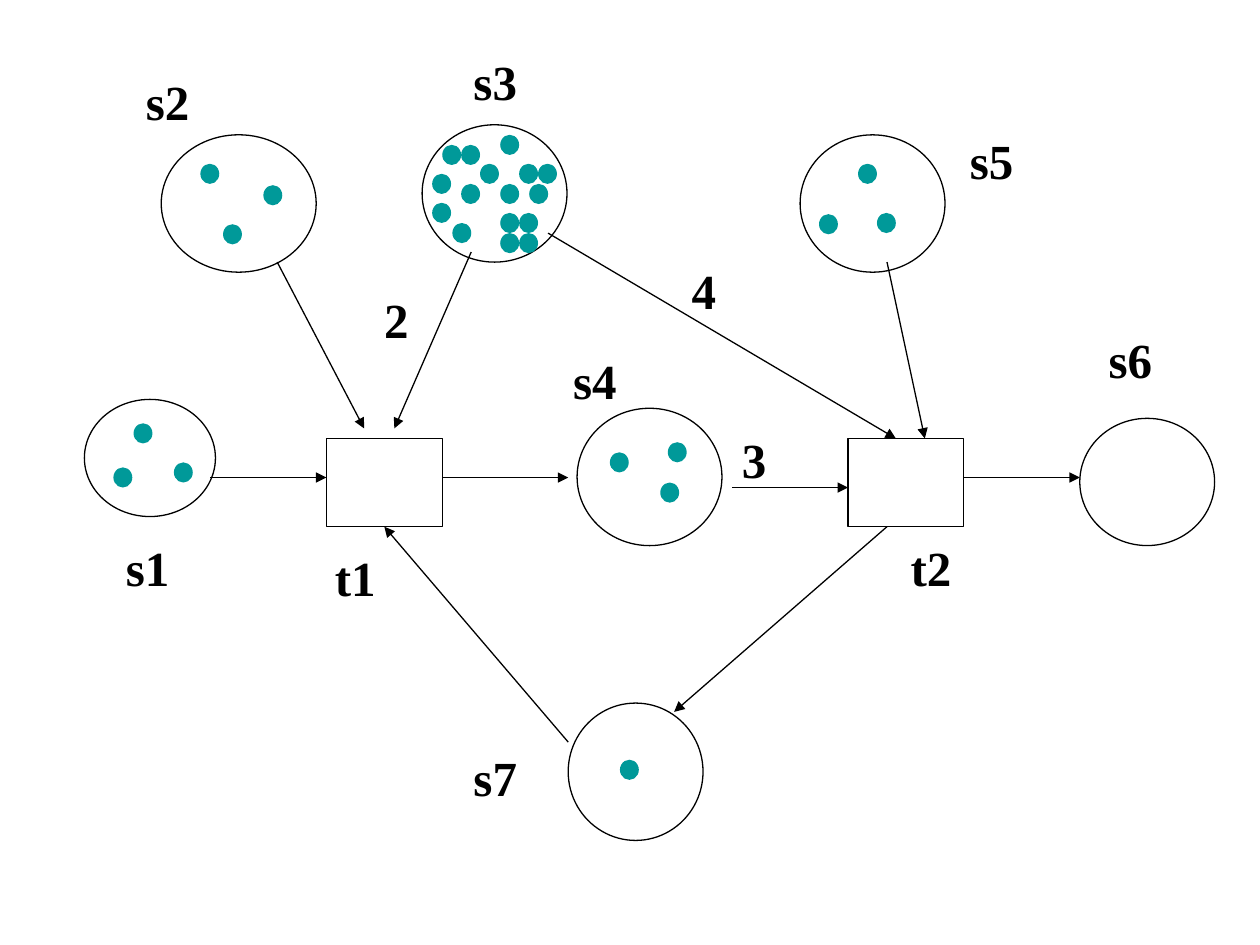
from typing import NamedTuple, Optional

from lxml.etree import SubElement
from pptx import Presentation
from pptx.dml.color import RGBColor
from pptx.enum.shapes import MSO_CONNECTOR, MSO_SHAPE
from pptx.oxml.ns import qn
from pptx.util import Inches, Pt

BLACK = RGBColor(0x00, 0x00, 0x00)
WHITE = RGBColor(0xFF, 0xFF, 0xFF)
TEAL = RGBColor(0x00, 0x99, 0x99)
LINE_WIDTH = Pt(0.75)
TOKEN_WIDTH, TOKEN_HEIGHT = 0.15, 0.16
LABEL_WIDTH, LABEL_HEIGHT = 0.63, 0.67
BOTTOM_SITE = 2


class Place(NamedTuple):
    left: float
    top: float
    width: float
    height: float
    tokens: tuple = ()


class Transition(NamedTuple):
    left: float
    top: float
    width: float = 0.92
    height: float = 0.7


class Arc(NamedTuple):
    start: tuple
    end: tuple
    bottom_of: Optional[str] = None


class Label(NamedTuple):
    text: str
    left: float
    top: float


PLACES = [
    Place(0.67, 3.17, 1.04, 0.93, ((1.06, 3.36), (0.9, 3.71), (1.38, 3.67))),
    Place(1.28, 1.07, 1.23, 1.09, ((1.59, 1.3), (1.77, 1.78), (2.09, 1.47))),
    Place(3.35, 0.99, 1.15, 1.09, (
        (3.97, 1.07), (3.51, 1.15), (3.66, 1.15), (3.81, 1.3),
        (4.12, 1.3), (4.27, 1.3), (3.43, 1.38), (3.66, 1.46),
        (3.97, 1.46), (4.2, 1.46), (3.43, 1.61), (3.59, 1.77),
        (3.97, 1.69), (4.12, 1.69), (3.97, 1.85), (4.12, 1.85))),
    Place(4.58, 3.24, 1.15, 1.09, ((4.84, 3.59), (5.3, 3.51), (5.24, 3.83))),
    Place(6.35, 1.07, 1.15, 1.09, ((6.81, 1.3), (6.96, 1.69), (6.5, 1.7))),
    Place(8.57, 3.32, 1.07, 1.01),
    Place(4.51, 5.58, 1.07, 1.09, ((4.92, 6.03),)),
]
TRANSITIONS = {"t1": Transition(2.59, 3.48), "t2": Transition(6.73, 3.48)}
ARCS = [
    Arc((1.67, 3.79), (2.59, 3.79)),
    Arc((2.2, 2.08), (2.89, 3.4)),
    Arc((3.74, 2), (3.13, 3.4)),
    Arc((3.51, 3.79), (4.51, 3.79)),
    Arc((4.35, 1.85), (7.11, 3.48)),
    Arc((5.81, 3.87), (6.73, 3.87)),
    Arc((7.04, 2.08), (7.34, 3.48)),
    Arc((7.65, 3.79), (8.57, 3.79)),
    Arc((7.04, 4.18), (5.35, 5.65)),
    Arc((4.51, 5.89), (3.05, 4.18), "t1"),
]
LABELS = [
    Label("s1", 0.9, 4.22),
    Label("s2", 1.06, 0.52),
    Label("s3", 3.66, 0.36),
    Label("s4", 4.45, 2.73),
    Label("s5", 7.6, 0.99),
    Label("s6", 8.7, 2.57),
    Label("s7", 3.66, 5.88),
    Label("t1", 2.56, 4.3),
    Label("t2", 7.13, 4.22),
    Label("2", 2.95, 2.25),
    Label("4", 5.39, 2.02),
    Label("3", 5.79, 3.36),
]


def add_node(slide, kind, left: float, top: float, width: float, height: float,
             fill: Optional[RGBColor] = None, outlined: bool = True):
    shape = slide.shapes.add_shape(
        kind, Inches(left), Inches(top), Inches(width), Inches(height))
    shape.shadow.inherit = False
    if fill is None:
        shape.fill.background()
    else:
        shape.fill.solid()
        shape.fill.fore_color.rgb = fill
    if outlined:
        shape.line.color.rgb = BLACK
        shape.line.width = LINE_WIDTH
    else:
        shape.line.fill.background()
    return shape


def add_place(slide, place: Place) -> None:
    add_node(slide, MSO_SHAPE.OVAL, *place[:4])
    for left, top in place.tokens:
        add_node(slide, MSO_SHAPE.OVAL, left, top, TOKEN_WIDTH, TOKEN_HEIGHT,
                 TEAL, outlined=False)


def add_arc(slide, arc: Arc, transitions: dict) -> None:
    connector = slide.shapes.add_connector(
        MSO_CONNECTOR.STRAIGHT, *map(Inches, arc.start + arc.end))
    if arc.bottom_of:
        connector.end_connect(transitions[arc.bottom_of], BOTTOM_SITE)
    connector.line.color.rgb = BLACK
    connector.line.width = LINE_WIDTH
    properties = connector._element.spPr
    SubElement(properties.find(qn("a:ln")), qn("a:tailEnd"), type="triangle")
    SubElement(properties, qn("a:effectLst"))


def add_label(slide, label: Label) -> None:
    text_box = slide.shapes.add_textbox(
        Inches(label.left), Inches(label.top),
        Inches(LABEL_WIDTH), Inches(LABEL_HEIGHT))
    text_frame = text_box.text_frame
    text_frame.word_wrap = True
    text_frame.text = label.text
    paragraph = text_frame.paragraphs[0]
    paragraph.space_before = Pt(7)
    font = paragraph.runs[0].font
    font.name = "Times New Roman"
    font.size = Pt(28)
    font.bold = True
    font.color.rgb = BLACK


def main() -> None:
    presentation = Presentation()
    presentation.slide_width = Inches(10)
    presentation.slide_height = Inches(7.5)
    slide = presentation.slides.add_slide(presentation.slide_layouts[6])
    for place in PLACES:
        add_place(slide, place)
    transitions = {
        name: add_node(slide, MSO_SHAPE.RECTANGLE, *transition, fill=WHITE)
        for name, transition in TRANSITIONS.items()
    }
    for arc in ARCS:
        add_arc(slide, arc, transitions)
    for label in LABELS:
        add_label(slide, label)
    presentation.save("out.pptx")


if __name__ == "__main__":
    main()
